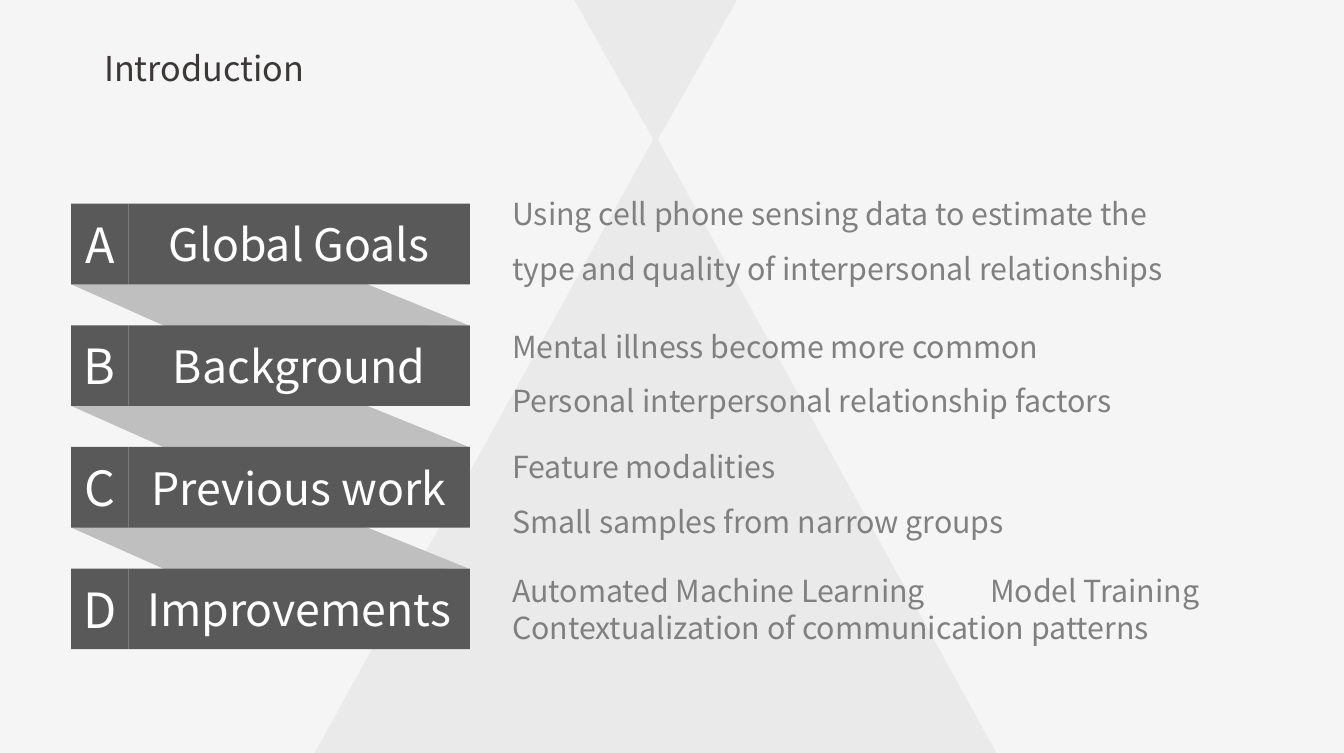
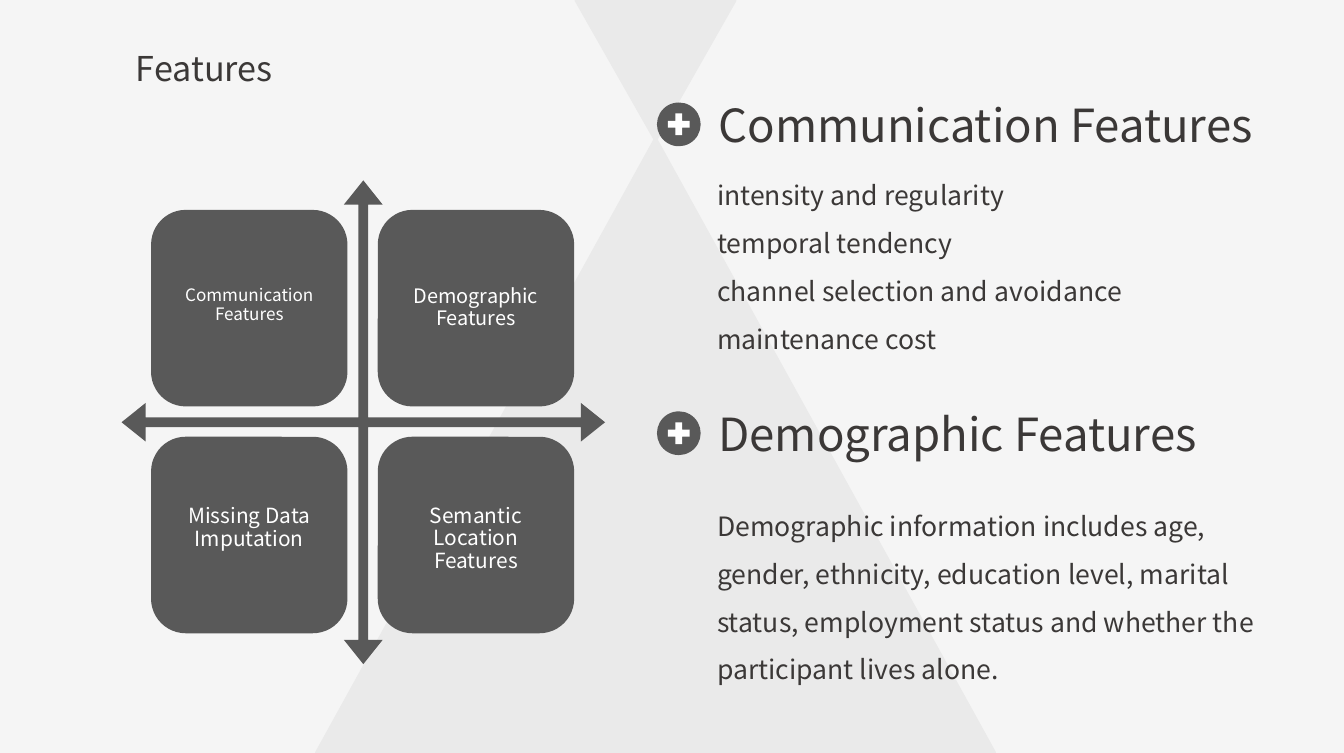
from lxml.etree import SubElement
from pptx import Presentation
from pptx.dml.color import RGBColor
from pptx.enum.shapes import MSO_SHAPE as Preset
from pptx.enum.text import MSO_ANCHOR as Anchor, MSO_AUTO_SIZE as AutoSize, PP_ALIGN as Align
from pptx.oxml.ns import qn
from pptx.util import Inches, Pt

WIDTH, HEIGHT = 9.84, 5.51
PAPER, BACKDROP, DARK, RIBBON = "F5F5F5", "EAEAEA", "595959", "BFBFBF"
INK, GREY, WHITE = "3B3837", "808080", "FFFFFF"
SIDE_INSETS = (0.09, 0, 0.09, 0)
BOX_INSETS = (0.09, 0.05, 0.09, 0.05)


def color(value):
    return RGBColor.from_string(value)


class Builder:
    """Holds the shared style and the current slide."""

    font = "Noto Sans CJK SC"

    def __init__(self):
        self.deck = Presentation()
        self.deck.slide_width, self.deck.slide_height = Inches(WIDTH), Inches(HEIGHT)
        self.page = None

    def dress_master(self):
        """Paint the background and move the two triangles to the master."""
        master = self.deck.slide_master
        master.background.fill.solid()
        master.background.fill.fore_color.rgb = color(PAPER)
        triangles = (
            self.outline([(4.22, 0), (5.38, 0), (4.8, 1.02)], BACKDROP, 2),
            self.shape(Preset.ISOSCELES_TRIANGLE, 2.32, 1.02, 4.96, 4.49, BACKDROP, 2),
        )
        for place, triangle in enumerate(triangles, start=2):
            master.shapes.element.insert(place, triangle.element)

    def new_page(self, title):
        self.page = self.deck.slides.add_slide(self.deck.slide_layouts[5])
        box = self.page.shapes.title
        box.left, box.top = Inches(0.43), Inches(0.31)
        box.width, box.height = Inches(2.13), Inches(0.38)
        self.set_text(box, [title], 18, INK, Align.CENTER, Anchor.TOP,
                      (0.07, 0.04, 0.07, 0.04))

    def paint(self, shape, fill, line_width=0):
        shape.shadow.inherit = False
        shape.fill.solid()
        shape.fill.fore_color.rgb = color(fill)
        if line_width:
            shape.line.color.rgb = color(fill)
            shape.line.width = Pt(line_width)
        else:
            shape.line.fill.background()
        return shape

    def shape(self, preset, left, top, width, height, fill, line_width=0, adjust=()):
        shape = self.page.shapes.add_shape(
            preset, Inches(left), Inches(top), Inches(width), Inches(height))
        for index, value in enumerate(adjust):
            shape.adjustments[index] = value
        return self.paint(shape, fill, line_width)

    def outline(self, points, fill, line_width=0):
        start, *rest = [(Inches(x), Inches(y)) for x, y in points]
        builder = self.page.shapes.build_freeform(*start)
        builder.add_line_segments(rest, close=True)
        return self.paint(builder.convert_to_shape(), fill, line_width)

    def set_text(self, box, lines, size, ink, align=Align.LEFT, anchor=Anchor.MIDDLE,
                 insets=BOX_INSETS, spacing=1.0, wrap=True, tab=None):
        frame = box.text_frame
        frame.text = "\n".join(lines)
        frame.word_wrap, frame.auto_size = wrap, AutoSize.NONE
        frame.vertical_anchor = anchor
        (frame.margin_left, frame.margin_top,
         frame.margin_right, frame.margin_bottom) = map(Inches, insets)
        for para in frame.paragraphs:
            para.alignment, para.line_spacing = align, spacing
            if tab:
                stops = SubElement(para._p.get_or_add_pPr(), qn("a:tabLst"))
                SubElement(stops, qn("a:tab"), pos=str(Inches(tab)), algn="l")
            for span in para.runs:
                span.font.name, span.font.size = self.font, Pt(size)
                span.font.color.rgb = color(ink)

    def text(self, left, top, width, height, lines, size, ink, **style):
        box = self.page.shapes.add_textbox(
            Inches(left), Inches(top), Inches(width), Inches(height))
        self.set_text(box, lines, size, ink, **style)

    def label(self, left, top, width, height, caption, size):
        box = self.shape(Preset.RECTANGLE, left, top, width, height, DARK)
        self.set_text(box, [caption], size, WHITE, Align.CENTER)

    def plus_badge(self, left, top):
        self.shape(Preset.OVAL, left, top, 0.32, 0.32, DARK)
        self.shape(Preset.CROSS, left + 0.08, top + 0.08, 0.16, 0.16, WHITE, adjust=(0.34,))


def introduction(builder):
    builder.new_page("Introduction")
    builder.dress_master()
    left, first_top, step, height, letter_width = 0.52, 1.49, 0.89, 0.59, 0.42
    # caption, top of the text, line spacing, lines
    rows = [
        ("Global Goals", 1.4, 1.5,
         ["Using cell phone sensing data to estimate the type and quality"
          " of interpersonal relationships"]),
        ("Background", 2.37, 1.5,
         ["Mental illness become more common",
          "Personal interpersonal relationship factors"]),
        ("Previous work", 3.25, 1.5,
         ["Feature modalities", "Small samples from narrow groups"]),
        ("Improvements", 4.16, 1.0,
         ["Automated Machine Learning\tModel Training",
          "Contextualization of communication patterns"]),
    ]
    tops = [first_top + index * step for index in range(len(rows))]

    # Ribbon folds between the rows
    for top in tops[:-1]:
        builder.outline([(3.43, top + 0.89), (2.59, top + 0.55),
                         (left, top + 0.59), (1.26, top + 0.92)], RIBBON)

    # Lettered labels with their texts
    for letter, top, (caption, text_top, spacing, lines) in zip("ABCD", tops, rows):
        builder.label(left + letter_width, top, 2.5, height, caption, 23.5)
        builder.label(left, top, letter_width, height, letter, 25.5)
        builder.text(3.66, text_top, 5.51 if spacing == 1 else 5.15, height, lines, 16, GREY,
                     insets=SIDE_INSETS, spacing=spacing,
                     tab=3.5 if "\t" in lines[0] else None)


def features(builder):
    builder.new_page("Features")

    # Four tiles around the cross of arrows
    builder.shape(Preset.QUAD_ARROW, 0.89, 1.32, 3.54, 3.54, DARK, adjust=(0.02, 0.04, 0.05))
    tiles = [  # caption, size, upward shift of the text
        ("Communication Features", 9, 0.02),
        ("Demographic Features", 10.5, 0),
        ("Missing Data Imputation", 11, 0.05),
        ("Semantic Location Features", 11, -0.03),
    ]
    for index, (caption, size, lift) in enumerate(tiles):
        row, column = divmod(index, 2)
        tile = builder.shape(Preset.ROUNDED_RECTANGLE, 1.12 + column * 1.66,
                             1.55 + row * 1.66, 1.41, 1.41, DARK, 2, (0.17,))
        builder.set_text(tile, [caption], size, WHITE, Align.CENTER,
                         insets=(0.14, 0.14 - lift, 0.14, 0.14 + lift), spacing=0.9)

    # Headed texts on the right
    sections = [  # heading, its top, top of the text, lines
        ("Communication Features", 0.71, 1.21,
         ["intensity and regularity", "temporal tendency",
          "channel selection and avoidance", "maintenance cost"]),
        ("Demographic Features", 2.97, 3.63,
         ["Demographic information includes age, gender, ethnicity, education level,"
          " marital status, employment status and whether the participant lives alone."]),
    ]
    flush = (0, 0, 0, 0)
    for heading, top, text_top, lines in sections:
        builder.text(5.26, top, 4.02, 0.4, [heading], 24, INK, insets=flush, wrap=False)
        builder.text(5.25, text_top, 3.95, 1.37, lines, 14, INK, insets=flush, spacing=1.5)
        builder.plus_badge(4.81, top + 0.04)


def main():
    builder = Builder()
    introduction(builder)
    features(builder)
    builder.deck.save("out.pptx")


if __name__ == "__main__":
    main()
